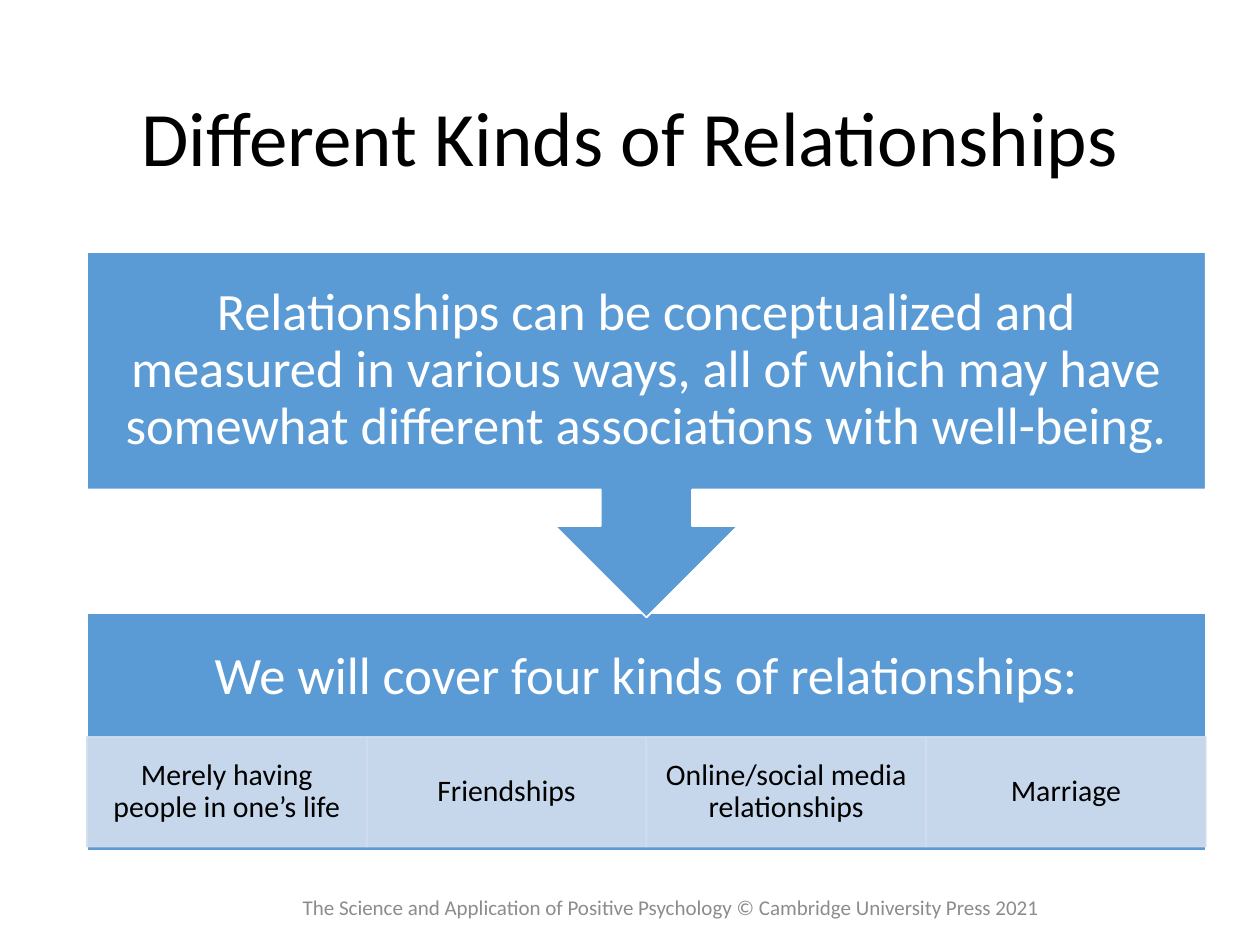
from lxml import etree
from pptx import Presentation
from pptx.dml.color import RGBColor
from pptx.enum.shapes import MSO_SHAPE as Shape
from pptx.enum.text import MSO_ANCHOR as Anchor, PP_ALIGN as Align
from pptx.oxml.ns import qn
from pptx.util import Inches, Pt

COLORS = {
    "blue": "5B9BD5",
    "pale": "D2DEEF",
    "white": "FFFFFF",
    "black": "000000",
    "gray": "8C8C8C",
}

presentation = Presentation()
presentation.slide_width = Inches(10)
presentation.slide_height = Inches(7.5)
slide = presentation.slides.add_slide(presentation.slide_layouts[6])


def add_block(kind, left, top, width, height, fill, line, alpha=None):
    shape = slide.shapes.add_shape(
        kind, Inches(left), Inches(top), Inches(width), Inches(height))
    shape.shadow.inherit = False
    shape.fill.solid()
    shape.fill.fore_color.rgb = RGBColor.from_string(COLORS[fill])
    shape.line.color.rgb = RGBColor.from_string(COLORS[line])
    shape.line.width = Pt(1)
    if alpha:
        for color in shape._element.spPr.iter(qn("a:srgbClr")):
            etree.SubElement(color, qn("a:alpha")).set("val", str(alpha * 1000))
    return shape


def write_text(text, box=None, shape=None, size=30, color="white",
               inset=(0.1, 0.05), line_spacing=0.9):
    if shape is None:
        shape = slide.shapes.add_textbox(*[Inches(value) for value in box])
    frame = shape.text_frame
    frame.word_wrap = True
    frame.vertical_anchor = Anchor.MIDDLE
    frame.margin_left = frame.margin_right = Inches(inset[0])
    frame.margin_top = frame.margin_bottom = Inches(inset[1])
    paragraph = frame.paragraphs[0]
    paragraph.alignment = Align.CENTER
    paragraph.line_spacing = line_spacing
    run = paragraph.add_run()
    run.text = text
    run.font.name = "Calibri"
    run.font.size = Pt(size)
    run.font.color.rgb = RGBColor.from_string(COLORS[color])


left, width = 0.69, 8.88
kinds = [
    "Merely having people in one’s life",
    "Friendships",
    "Online/social media relationships",
    "Marriage",
]
kind_width = width / len(kinds)

write_text("Different Kinds of Relationships", box=(0.69, 0.4, 8.62, 1.45),
           size=44, color="black")

add_block(Shape.RECTANGLE, left, 4.87, width, 1.88, "blue", "white")
write_text("We will cover four kinds of relationships:",
           box=(left, 4.87, width, 1.02), inset=(0.23, 0.23))

for index, kind in enumerate(kinds):
    cell = add_block(Shape.RECTANGLE, left + index * kind_width, 5.85,
                     kind_width, 0.87, "pale", "pale", alpha=90)
    write_text(kind, shape=cell, size=17, color="black", inset=(0.13, 0.02))

callout = add_block(Shape.UP_ARROW_CALLOUT, left, 2, width, 2.9, "blue", "white")
callout.rotation = 180
for index, value in enumerate([0.25, 0.25, 0.25, 0.65]):
    callout.adjustments[index] = value
write_text("Relationships can be conceptualized and measured in various ways, "
           "all of which may have somewhat different associations with well-being.",
           box=(left, 2, width, 1.88), inset=(0.23, 0.23))

write_text("The Science and Application of Positive Psychology "
           "© Cambridge University Press 2021",
           box=(2.19, 6.95, 6.27, 0.5), size=12, color="gray", line_spacing=1.0)

presentation.save("out.pptx")
